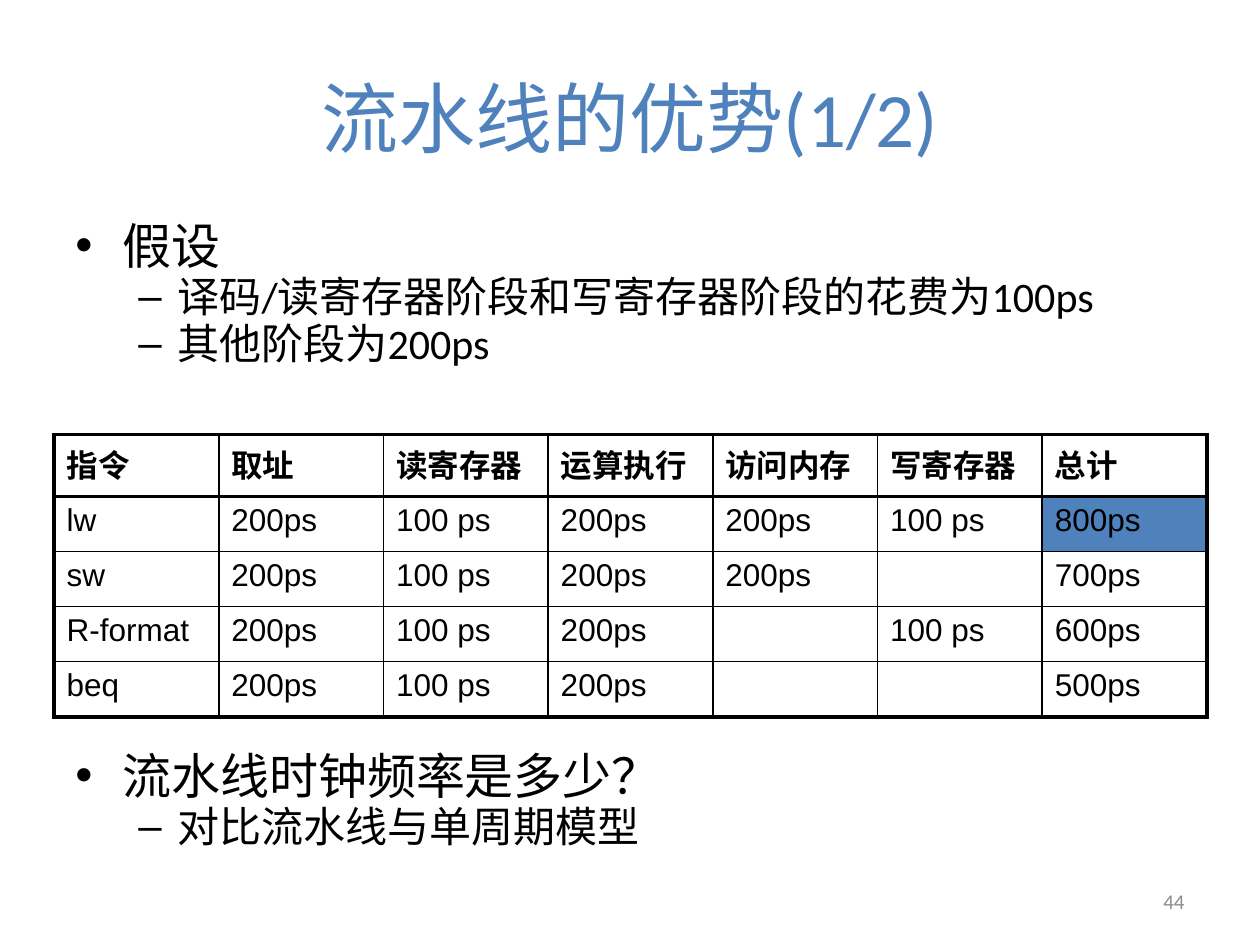
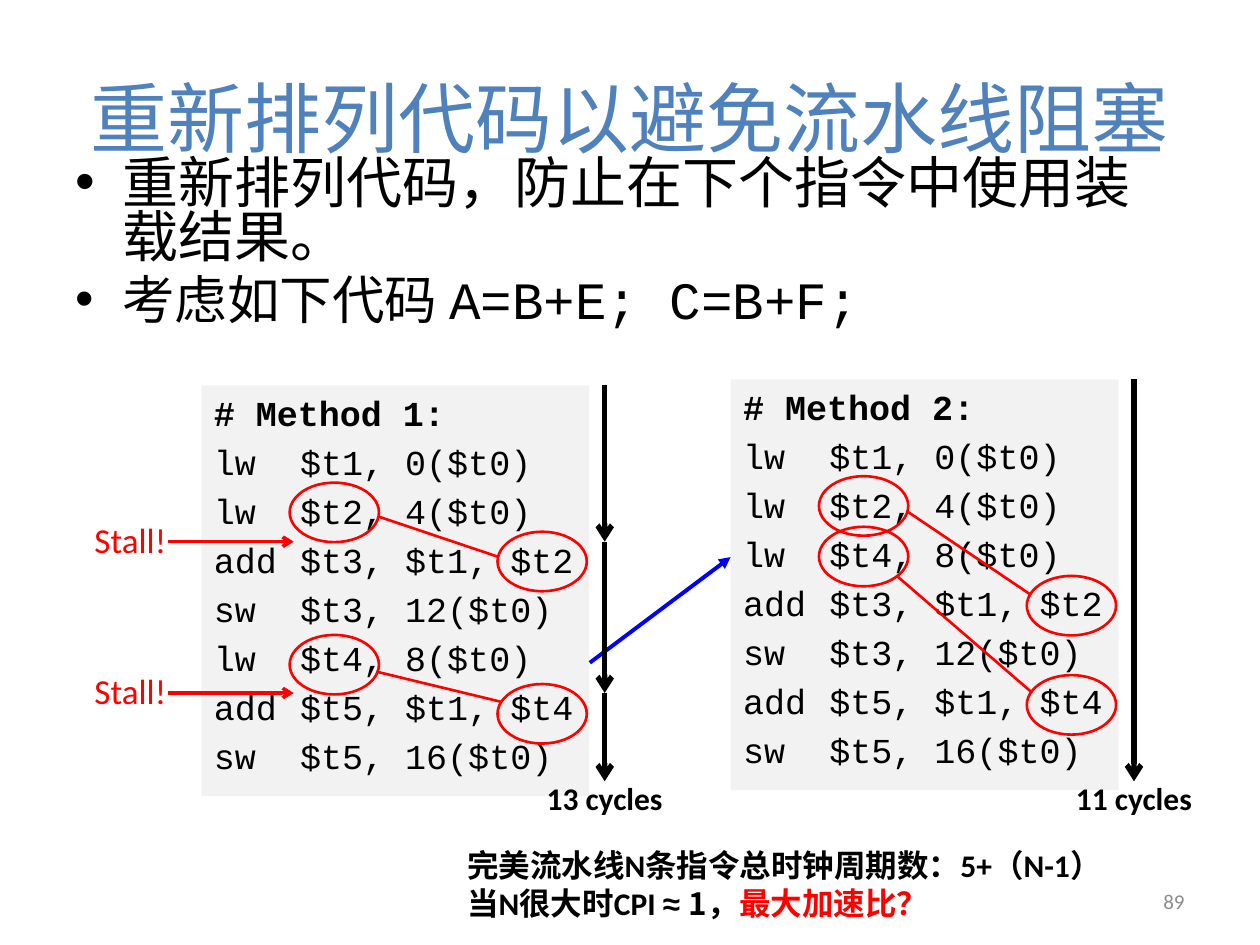
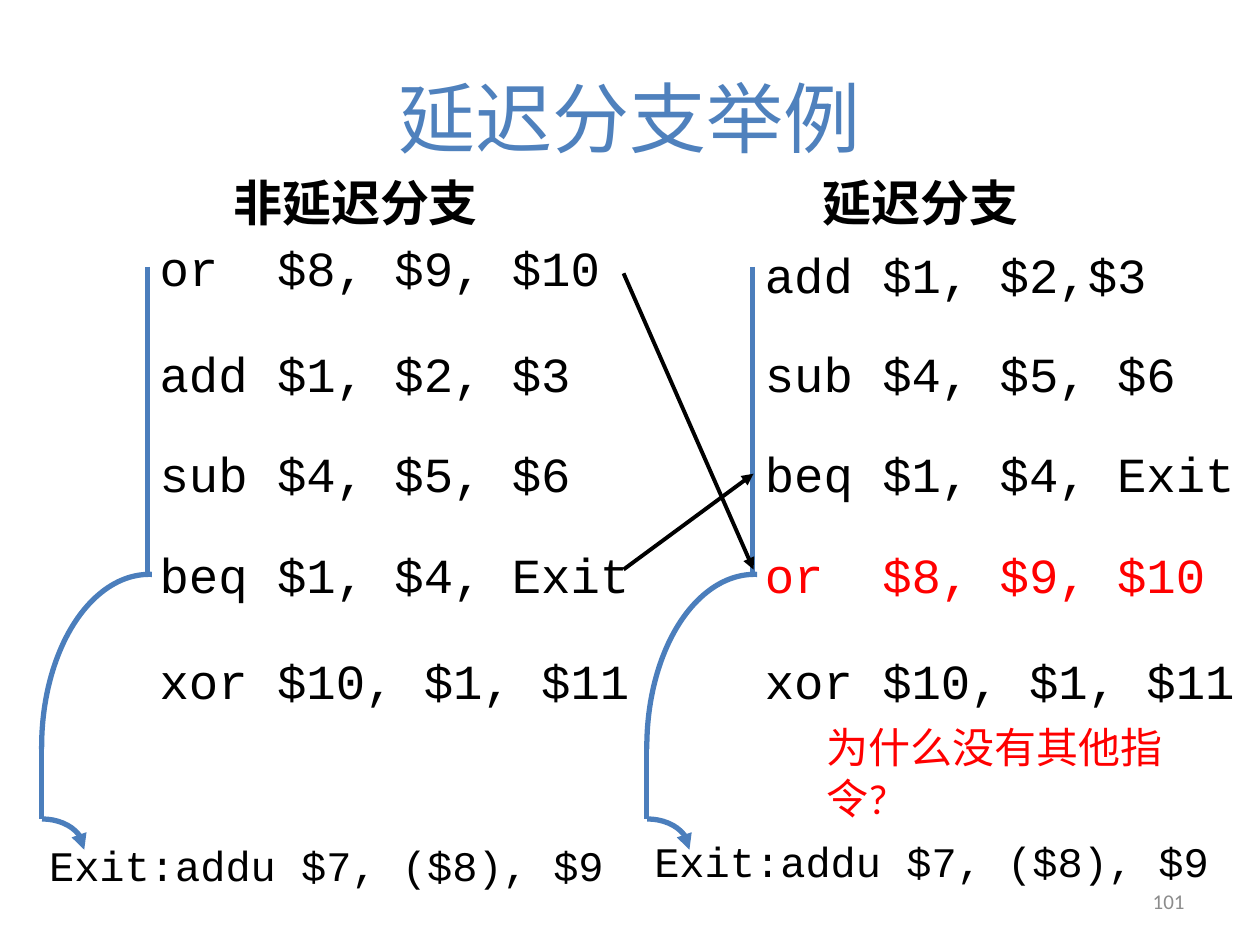
import lxml.etree
import pptx
import pptx.dml.color
import pptx.enum.shapes
import pptx.enum.text
import pptx.oxml.ns
import pptx.util

BLACK, BLUE, RED, GRAY = "000000", "4F81BD", "FF0000", "8C8C8C"
BRANCH_BLUE = "4B7EBC"
CODE_FONT = "Courier New"
CJK_FONT = "Noto Sans CJK SC"
SHAPES = pptx.enum.shapes.MSO_SHAPE
STRAIGHT = pptx.enum.shapes.MSO_CONNECTOR.STRAIGHT
ALIGN = pptx.enum.text.PP_ALIGN
ANCHOR = pptx.enum.text.MSO_ANCHOR
color_of = pptx.dml.color.RGBColor.from_string
qn = pptx.oxml.ns.qn
add_xml = lxml.etree.SubElement


def write_text(frame, text, size=18, font="Calibri", color=BLACK, bold=False,
               align=ALIGN.LEFT, anchor=ANCHOR.TOP, wrap=True, same_line=False,
               line_spacing=None, space_before=0, bullet=None, indent=None, tab=None):
    """Add a paragraph, or a run to the last one; space_before is in percent."""
    frame.word_wrap = wrap
    frame.vertical_anchor = anchor
    paragraph = frame.paragraphs[-1]
    if paragraph.runs and not same_line:
        paragraph = frame.add_paragraph()
    if not same_line:
        paragraph.alignment = align
        if line_spacing:
            paragraph.line_spacing = line_spacing
        properties = paragraph._p.get_or_add_pPr()
        if space_before:
            spacing = add_xml(properties, qn("a:spcBef"))
            add_xml(spacing, qn("a:spcPct"), val=str(space_before * 1000))
        if bullet:
            margin, hanging = indent
            properties.set("marL", str(pptx.util.Cm(margin)))
            properties.set("indent", str(-pptx.util.Cm(hanging)))
            add_xml(properties, qn("a:buFont"), typeface="Arial")
            add_xml(properties, qn("a:buChar"), char=bullet)
        if tab:
            tabs = add_xml(properties, qn("a:tabLst"))
            add_xml(tabs, qn("a:tab"), pos=str(pptx.util.Cm(tab)), algn="l")
    run = paragraph.add_run()
    run.text = text
    run.font.size = pptx.util.Pt(size)
    run.font.name = font
    run.font.bold = bold
    run.font.color.rgb = color_of(color)
    add_xml(run.font._element, qn("a:ea"), typeface=CJK_FONT)


def draw(slide, kind, box, color, width, arrow=None):
    """Draw an outlined shape in a box, or a straight line between two points."""
    lengths = map(pptx.util.Cm, box)
    if kind == STRAIGHT:
        shape = slide.shapes.add_connector(kind, *lengths)
    else:
        shape = slide.shapes.add_shape(kind, *lengths)
        shape.fill.background()
    shape.line.color.rgb = color_of(color)
    shape.line.width = pptx.util.Pt(width)
    properties = shape._element.spPr
    if arrow:
        add_xml(properties.find(qn("a:ln")), qn("a:tailEnd"), type=arrow)
    add_xml(properties, qn("a:effectLst"))
    return shape


presentation = pptx.Presentation()
presentation.slide_width = pptx.util.Cm(25.4)
presentation.slide_height = pptx.util.Cm(19.05)

# Shared title and page number
slides = []
for title, number in [("流水线的优势(1/2)", "44"),
                      ("重新排列代码以避免流水线阻塞", "89"),
                      ("延迟分支举例", "101")]:
    slide = presentation.slides.add_slide(presentation.slide_layouts[6])
    box = slide.shapes.add_textbox(*map(pptx.util.Cm, (1.27, 0.76, 22.86, 3.18)))
    write_text(box.text_frame, title, size=44, color=BLUE,
               align=ALIGN.CENTER, anchor=ANCHOR.MIDDLE)
    box = slide.shapes.add_textbox(*map(pptx.util.Cm, (18.21, 17.65, 5.92, 1.02)))
    write_text(box.text_frame, number, size=12, color=GRAY,
               align=ALIGN.RIGHT, anchor=ANCHOR.MIDDLE)
    slides.append(slide)
advantage_slide, reorder_slide, branch_slide = slides

# Slide 1: assumptions, instruction times and question
top_level = dict(bullet="•", indent=(0.95, 0.95), line_spacing=0.8)
sub_level = dict(bullet="–", indent=(2.06, 0.79), line_spacing=0.8)
for top, height, heading, details in [
        (4.45, 4.2, "假设", ["译码/读寄存器阶段和写寄存器阶段的花费为100ps", "其他阶段为200ps"]),
        (15.13, 2.8, "流水线时钟频率是多少？", ["对比流水线与单周期模型"])]:
    box = advantage_slide.shapes.add_textbox(*map(pptx.util.Cm, (1.27, top, 22.86, height)))
    write_text(box.text_frame, heading, size=28, space_before=16, **top_level)
    for detail in details:
        write_text(box.text_frame, detail, size=24, space_before=16, **sub_level)

times = [
    ["指令", "取址", "读寄存器", "运算执行", "访问内存", "写寄存器", "总计"],
    ["lw", "200ps", "100 ps", "200ps", "200ps", "100 ps", "800ps"],
    ["sw", "200ps", "100 ps", "200ps", "200ps", "", "700ps"],
    ["R-format", "200ps", "100 ps", "200ps", "", "100 ps", "600ps"],
    ["beq", "200ps", "100 ps", "200ps", "", "", "500ps"],
]
last_row, last_column = len(times) - 1, len(times[0]) - 1
table = advantage_slide.shapes.add_table(
    len(times), len(times[0]), *map(pptx.util.Cm, (1.09, 8.76, 23.24, 5.69))).table
table.first_row = table.horz_banding = False
for column in table.columns:
    column.width = pptx.util.Cm(3.32)
for row_index, row in enumerate(times):
    table.rows[row_index].height = pptx.util.Cm(1.11 if row_index else 1.25)
    for column_index, text in enumerate(row):
        cell = table.cell(row_index, column_index)
        inner_top = 1.5 if row_index == 1 else 1
        inner_bottom = 1.5 if row_index == 0 else 1
        borders = {
            "a:lnL": 2.25 if column_index == 0 else 1,
            "a:lnR": 2.25 if column_index == last_column else 1,
            "a:lnT": 2.25 if row_index == 0 else inner_top,
            "a:lnB": 2.25 if row_index == last_row else inner_bottom,
        }
        cell_properties = cell._tc.get_or_add_tcPr()
        for side, width in borders.items():
            border = add_xml(cell_properties, qn(side), w=str(pptx.util.Pt(width)))
            add_xml(add_xml(border, qn("a:solidFill")), qn("a:srgbClr"), val=BLACK)
        if text == "800ps":
            cell.fill.solid()
            cell.fill.fore_color.rgb = color_of(BLUE)
        else:
            cell.fill.background()
        if text:
            write_text(cell.text_frame, text, font="Arial", bold=row_index == 0,
                       space_before=20)

# Slide 2: two orders of the same code
box = reorder_slide.shapes.add_textbox(*map(pptx.util.Cm, (1.27, 3.12, 22.86, 5.13)))
write_text(box.text_frame, "重新排列代码，防止在下个指令中使用装载结果。", size=32,
           space_before=20, **top_level)
write_text(box.text_frame, "考虑如下代码 A=B+E; C=B+F;", size=30, font=CODE_FONT,
           space_before=20, **top_level)

load_b, load_e, load_f = "lw\t$t1, 0($t0)", "lw\t$t2, 4($t0)", "lw\t$t4, 8($t0)"
add_a, store_a = "add\t$t3, $t1, $t2", "sw\t$t3, 12($t0)"
add_c, store_c = "add\t$t5, $t1, $t4", "sw\t$t5, 16($t0)"
method_lefts = (4.06, 14.73)
for left, top, heading, code in [
        (method_lefts[0], 7.77, "# Method 1:",
         [load_b, load_e, add_a, store_a, load_f, add_c, store_c]),
        (method_lefts[1], 7.65, "# Method 2:",
         [load_b, load_e, load_f, add_a, store_a, add_c, store_c])]:
    panel = reorder_slide.shapes.add_shape(
        SHAPES.RECTANGLE, *map(pptx.util.Cm, (left, top, 7.82, 8.28)))
    panel.shadow.inherit = False
    panel.fill.solid()
    panel.fill.fore_color.rgb = color_of("F2F2F2")
    panel.line.fill.background()
    for line in [heading] + code:
        write_text(panel.text_frame, line, size=20, font=CODE_FONT, bold=line == heading,
                   space_before=20, tab=1.74)

draw(reorder_slide, STRAIGHT, (11.89, 13.36, 14.73, 11.23), "0000FF", 2.25, "triangle")

# Each load is tied to the instruction that uses its result
for left, load_top, use_top, link in [
        (method_lefts[0], 9.73, 10.72, (7.62, 10.41, 10.06, 11.23)),
        (method_lefts[0], 12.8, 13.79, (7.59, 13.54, 10.11, 14.15)),
        (method_lefts[1], 9.6, 11.61, (18.29, 10.31, 20.78, 11.99)),
        (method_lefts[1], 10.62, 13.61, (18.08, 11.61, 20.78, 13.94))]:
    draw(reorder_slide, SHAPES.OVAL, (left + 1.78, load_top, 1.8, 1.2), RED, 1.5)
    draw(reorder_slide, SHAPES.OVAL, (left + 5.97, use_top, 1.8, 1.2), RED, 1.5)
    draw(reorder_slide, STRAIGHT, link, RED, 1.5)

stall_tops = (10.92, 13.97)
for top in stall_tops:
    box = reorder_slide.shapes.add_textbox(*map(pptx.util.Cm, (1.52, top - 0.6, 2.08, 1.12)))
    write_text(box.text_frame, "Stall!", size=20, color=RED, align=ALIGN.RIGHT)
    draw(reorder_slide, STRAIGHT, (3.38, top, 5.92, top), RED, 2, "arrow")

for x, stops, cycles in [(12.19, (7.77, *stall_tops, 15.75), "13 cycles"),
                         (22.86, (7.65, 15.75), "11 cycles")]:
    for start, end in zip(stops, stops[1:]):
        draw(reorder_slide, STRAIGHT, (x, start, x, end), BLACK, 3, "arrow")
    box = reorder_slide.shapes.add_textbox(*map(pptx.util.Cm, (x - 1.42, 15.57, 2.86, 1.02)))
    write_text(box.text_frame, cycles, bold=True, wrap=False)

box = reorder_slide.shapes.add_textbox(*map(pptx.util.Cm, (9.17, 16.94, 15.6, 1.8)))
write_text(box.text_frame, "完美流水线N条指令总时钟周期数：5+（N-1）", bold=True)
write_text(box.text_frame, "当N很大时CPI ", bold=True)
for text, font, color in [("≈ ", "Arial", BLACK), ("1，", CJK_FONT, BLACK),
                          ("最大加速比？", CJK_FONT, RED)]:
    write_text(box.text_frame, text, font=font, color=color, bold=True, same_line=True)

# Slide 3: code without and with a delayed branch
moved = "or  $8, $9, $10"
left_code = [moved, "add $1, $2, $3", "sub $4, $5, $6", "beq $1, $4, Exit",
             "xor $10, $1, $11"]
right_code = ["add $1, $2,$3", "sub $4, $5, $6", "beq $1, $4, Exit", moved,
              "xor $10, $1, $11"]
for offset, heading_box, heading, first_top, exit_top, code, moved_color in [
        (0, (4.42, 3.35, 5.5, 1.45), "非延迟分支", 4.67, 16.79, left_code, BLACK),
        (12.2, (16.2, 3.35, 4.7, 1.45), "延迟分支", 4.8, 16.71, right_code, RED)]:
    box = branch_slide.shapes.add_textbox(*map(pptx.util.Cm, heading_box))
    write_text(box.text_frame, heading, size=28, bold=True, align=ALIGN.CENTER,
               anchor=ANCHOR.MIDDLE, wrap=False)
    for line, top in zip(code, (first_top, 6.81, 8.81, 10.85, 12.98)):
        box = branch_slide.shapes.add_textbox(
            *map(pptx.util.Cm, (2.97 + offset, top, 10.1, 1.45)))
        write_text(box.text_frame, line, size=28, font=CODE_FONT,
                   color=moved_color if line == moved else BLACK)
    box = branch_slide.shapes.add_textbox(
        *map(pptx.util.Cm, (0.74 + offset, exit_top, 11.79, 1.27)))
    write_text(box.text_frame, "Exit:addu $7, ($8), $9", size=24, font=CODE_FONT)

    # Path of the branch to the exit
    for x, start, end in [(0.84, 15.06, 16.51), (2.97, 5.38, 11.56)]:
        draw(branch_slide, STRAIGHT, (x + offset, start, x + offset, end), BRANCH_BLUE, 3)
    arc = draw(branch_slide, SHAPES.ARC, (0.84 + offset, 11.58, 4.34, 6.96), BRANCH_BLUE, 3)
    for index, degrees in enumerate((178.9, 270.9)):
        arc.adjustments[index] = degrees * 0.6
    draw(branch_slide, SHAPES.ARC, (offset, 16.51, 1.7, 1.24), BRANCH_BLUE, 3, "triangle")

for start, end in [(5.51, 11.48), (11.48, 9.55)]:
    draw(branch_slide, STRAIGHT, (12.57, start, 15.19, end), BLACK, 2.25, "triangle")

box = branch_slide.shapes.add_textbox(*map(pptx.util.Cm, (16.41, 14.43, 7.7, 2.31)))
write_text(box.text_frame, "为什么没有其他指令?", size=24, color=RED)

presentation.save("out.pptx")
